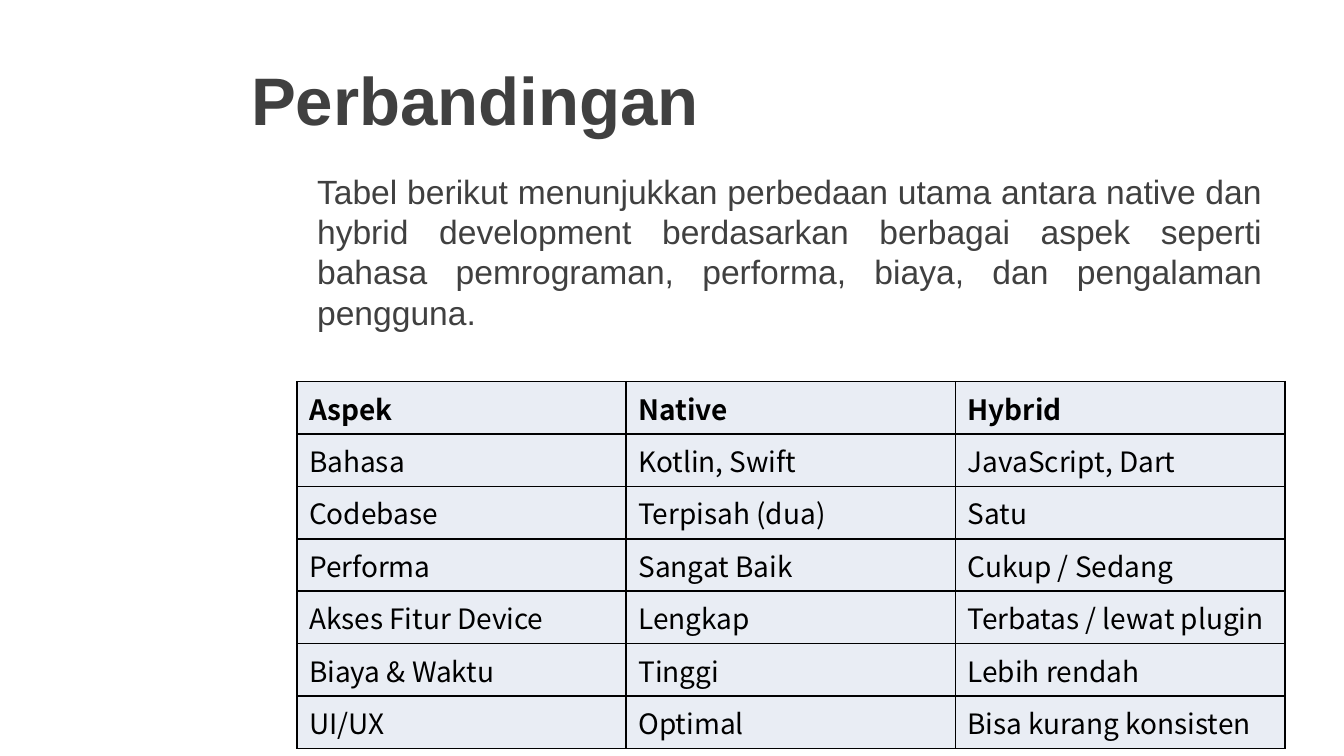
from pptx import Presentation
from pptx.dml.color import RGBColor
from pptx.enum.text import MSO_ANCHOR, PP_ALIGN
from pptx.oxml.ns import qn
from pptx.util import Inches, Pt
from lxml import etree

MIDDLE, TOP = MSO_ANCHOR.MIDDLE, MSO_ANCHOR.TOP
LEFT, JUSTIFY = PP_ALIGN.LEFT, PP_ALIGN.JUSTIFY

# Content
TITLE = "Perbandingan"
INTRO = (
    "Tabel berikut menunjukkan perbedaan utama antara native dan hybrid "
    "development berdasarkan berbagai aspek seperti bahasa pemrograman, "
    "performa, biaya, dan pengalaman pengguna."
)
ROWS = [
    ("Aspek", "Native", "Hybrid"),
    ("Bahasa", "Kotlin, Swift", "JavaScript, Dart"),
    ("Codebase", "Terpisah (dua)", "Satu"),
    ("Performa", "Sangat Baik", "Cukup / Sedang"),
    ("Akses Fitur Device", "Lengkap", "Terbatas / lewat plugin"),
    ("Biaya & Waktu", "Tinggi", "Lebih rendah"),
    ("UI/UX", "Optimal", "Bisa kurang konsisten"),
]

# Formats
COLORS = {"text": "404040", "cell_text": "000000", "cell": "E9EDF4", "border": "000000"}
TITLE_FONT = {"name": "Arial", "size": Pt(36), "bold": True}
INTRO_FONT = {"name": "Arial", "size": Pt(18), "bold": False}
CELL_FONT = {"name": "Noto Sans CJK KR", "size": Pt(15)}
SIDES = ("left", "top", "right", "bottom")
SLIDE_W = 10
SLIDE_H = SLIDE_W * 9 / 16
COL_W, ROW_H = 2.45, 0.39


def write(tf, text, font, color, align=LEFT):
    p = tf.paragraphs[0]
    p.alignment = align
    r = p.add_run()
    r.text = text
    for name, value in font.items():
        setattr(r.font, name, value)
    r.font.color.rgb = RGBColor.from_string(COLORS[color])


def set_margins(target, margins):
    for side, value in zip(SIDES, margins):
        setattr(target, f"margin_{side}", Inches(value))


def add_text(slide, box, text, font, anchor, margins, align=LEFT):
    tf = slide.shapes.add_textbox(*map(Inches, box)).text_frame
    tf.word_wrap, tf.vertical_anchor = True, anchor
    set_margins(tf, margins)
    write(tf, text, font, "text", align)


def add_borders(cell):
    tc_pr = cell._tc.get_or_add_tcPr()
    for i, tag in enumerate(("a:lnL", "a:lnR", "a:lnT", "a:lnB")):
        ln = etree.Element(qn(tag), w=str(Pt(1)))
        fill = etree.SubElement(ln, qn("a:solidFill"))
        etree.SubElement(fill, qn("a:srgbClr"), val=COLORS["border"])
        tc_pr.insert(i, ln)


prs = Presentation()
prs.slide_width, prs.slide_height = Inches(SLIDE_W), Inches(SLIDE_H)
s = prs.slides.add_slide(prs.slide_layouts[6])

# Title and introduction
add_text(s, (1.77, 0.25, 8.23, 0.97), TITLE, TITLE_FONT, MIDDLE, (0.1, 0.05, 0.1, 0.05))
add_text(s, (1.93, 1.22, 7.56, 3.28), INTRO, INTRO_FONT, TOP, (0.43, 0.05, 0.1, 0.05), JUSTIFY)

# Comparison table
n_rows, n_cols = len(ROWS), len(ROWS[0])
table = s.shapes.add_table(n_rows, n_cols, Inches(2.21), Inches(2.84),
                           Inches(COL_W * n_cols), Inches(ROW_H * n_rows)).table
for row, texts in enumerate(ROWS):
    table.rows[row].height = Inches(ROW_H)
    for col, text in enumerate(texts):
        cell = table.cell(row, col)
        cell.vertical_anchor = MIDDLE
        set_margins(cell, (0.09, 0.04, 0.09, 0.04))
        cell.fill.solid()
        cell.fill.fore_color.rgb = RGBColor.from_string(COLORS["cell"])
        add_borders(cell)
        write(cell.text_frame, text, {**CELL_FONT, "bold": row == 0}, "cell_text")

prs.save("out.pptx")
